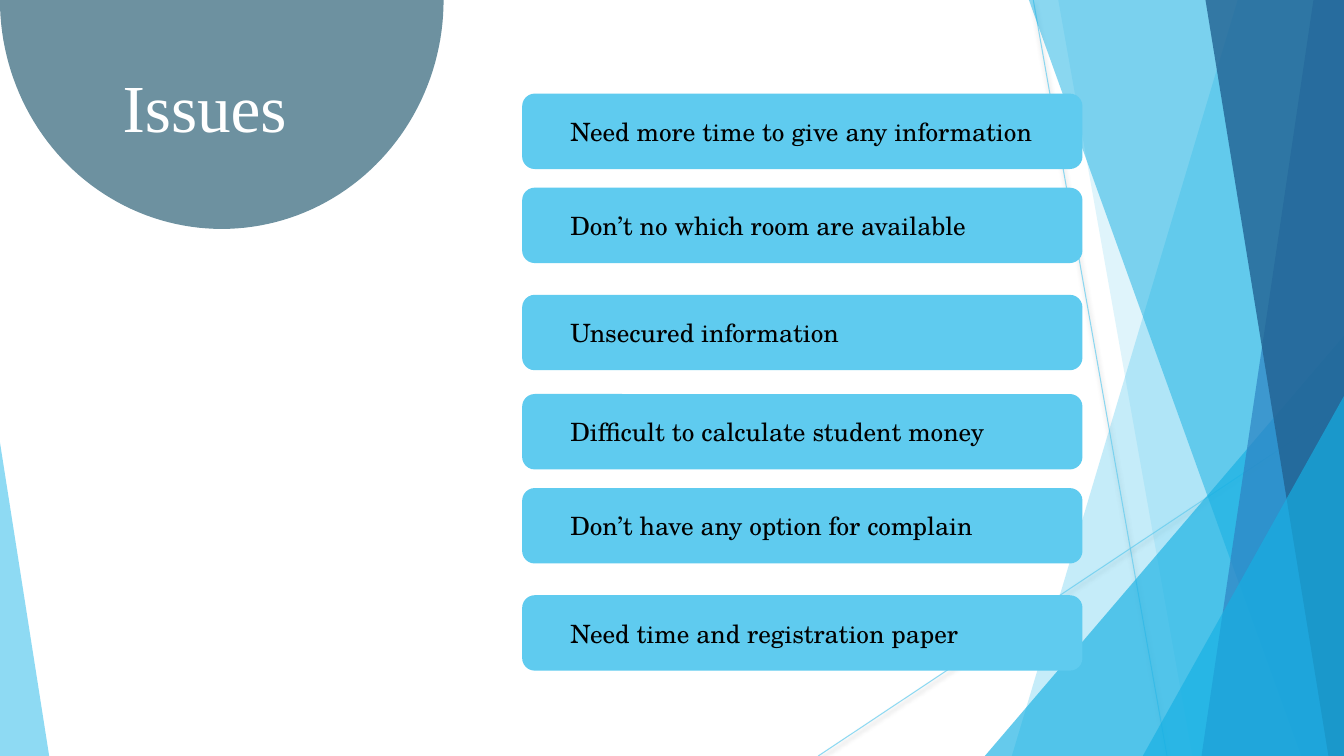
import math

from lxml import etree
from pptx import Presentation
from pptx.dml.color import RGBColor
from pptx.enum.shapes import MSO_CONNECTOR, MSO_SHAPE
from pptx.enum.text import MSO_ANCHOR, PP_ALIGN
from pptx.oxml import parse_xml
from pptx.oxml.ns import nsdecls, qn
from pptx.util import Cm, Pt

STRAIGHT = MSO_CONNECTOR.STRAIGHT
TRIANGLE = MSO_SHAPE.ISOSCELES_TRIANGLE
ROUNDED = MSO_SHAPE.ROUNDED_RECTANGLE
LEFT = PP_ALIGN.LEFT
MIDDLE = MSO_ANCHOR.MIDDLE

SKY = RGBColor(0x5F, 0xCB, 0xEF)
CYAN = RGBColor(0x16, 0xB0, 0xE3)
BLUE = RGBColor(0x2E, 0x83, 0xC3)
NAVY = RGBColor(0x22, 0x62, 0x92)
SLATE = RGBColor(0x6D, 0x91, 0xA0)
WHITE = RGBColor(0xFF, 0xFF, 0xFF)
BLACK = RGBColor(0x00, 0x00, 0x00)

WIDTH, HEIGHT = 33.87, 19.05


def paint(shape, color, opacity=100):
    """Give a shape a flat fill, with opacity in percent, and no line or shadow."""
    shape.shadow.inherit = False
    shape.line.fill.background()
    shape.fill.solid()
    shape.fill.fore_color.rgb = color
    if opacity < 100:
        color_element = shape.fill._xPr.find(qn("a:solidFill"))[0]
        etree.SubElement(color_element, qn("a:alpha"), val=str(opacity * 1000))


def write_text(shape, text, *, font, size, color, inset=0.25):
    frame = shape.text_frame
    frame.word_wrap = True
    frame.vertical_anchor = MIDDLE
    frame.margin_left = Cm(inset)
    paragraph = frame.paragraphs[0]
    paragraph.alignment = LEFT
    run = paragraph.add_run()
    run.text = text
    run.font.name = font
    run.font.size = Pt(size)
    run.font.color.rgb = color


presentation = Presentation()
presentation.slide_width = Cm(WIDTH)
presentation.slide_height = Cm(HEIGHT)
slide = presentation.slides.add_slide(presentation.slide_layouts[6])
shapes = slide.shapes

# Thin crossing lines with a soft shadow
for start_x, start_y, end_x in [(26.04, 0, 29.41), (WIDTH, 10.24, 20.62)]:
    line = shapes.add_connector(STRAIGHT, Cm(start_x), Cm(start_y), Cm(end_x), Cm(HEIGHT))
    line.line.width = Pt(0.75)
    line.line.color.rgb = SKY
    line_color = line.line.fill._xPr.find(qn("a:solidFill"))[0]
    etree.SubElement(line_color, qn("a:alpha"), val="70000")
    line._element.spPr.append(parse_xml(
        f'<a:effectLst {nsdecls("a")}>'
        '<a:outerShdw blurRad="40000" dist="20000" dir="5400000" rotWithShape="0">'
        '<a:srgbClr val="000000"><a:alpha val="38000"/></a:srgbClr>'
        '</a:outerShdw></a:effectLst>'))

# Translucent facets: a band reaches the right edge from its top and bottom x,
# a triangle stands on the bottom edge with its left, top, width and apex
facets = [
    ("band", (31.19, 25.5), SKY, 36),
    ("band", (26.67, 30.05), SKY, 20),
    ("triangle", (24.82, 8.46, 9.05, 1), CYAN, 66),
    ("band", (25.93, 32.79), CYAN, 50),
    ("band", (33.1, 30.28), BLUE, 70),
    ("band", (30.38, 33.48), NAVY, 80),
    ("triangle", (28.8, 9.98, 5.07, 1), CYAN, 66),
    ("triangle", (0, 11.15, 1.24, 0), SKY, 70),
]
for kind, geometry, color, opacity in facets:
    if kind == "band":
        top_x, bottom_x = geometry
        builder = shapes.build_freeform(Cm(top_x), 0)
        builder.add_line_segments(
            [(Cm(WIDTH), 0), (Cm(WIDTH), Cm(HEIGHT)), (Cm(bottom_x), Cm(HEIGHT))])
        facet = builder.convert_to_shape()
    else:
        left, top, width, apex = geometry
        facet = shapes.add_shape(TRIANGLE, Cm(left), Cm(top), Cm(width), Cm(HEIGHT - top))
        facet.adjustments[0] = apex
    paint(facet, color, opacity)

# Half disc hanging from the top edge
RADIUS_X, RADIUS_Y = 5.59, 5.77
builder = shapes.build_freeform(Cm(2 * RADIUS_X), 0)
builder.add_line_segments([
    (Cm(RADIUS_X * (1 + math.cos(math.radians(angle)))),
     Cm(RADIUS_Y * math.sin(math.radians(angle))))
    for angle in range(2, 181, 2)])
paint(builder.convert_to_shape(), SLATE)

title = shapes.add_textbox(Cm(2.84), Cm(1.52), Cm(6.58), Cm(2.31))
write_text(title, "Issues", font="Times New Roman", size=48, color=WHITE)

# Two groups of three issues, spaced alike
issue_groups = [
    (2.36, ["Need more time to give any information",
            "Don’t no which room are available",
            "Unsecured information"]),
    (9.93, ["Difficult to calculate student money",
            "Don’t have any option for complain",
            "Need time and registration paper"]),
]
for group_top, issues in issue_groups:
    for offset, issue in zip((0, 2.37, 5.07), issues):
        bar = shapes.add_shape(ROUNDED, Cm(13.16), Cm(group_top + offset), Cm(14.12), Cm(1.9))
        paint(bar, SKY)
        write_text(bar, issue, font="TeX Gyre Schola", size=18, color=BLACK, inset=1.12)

presentation.save("out.pptx")
